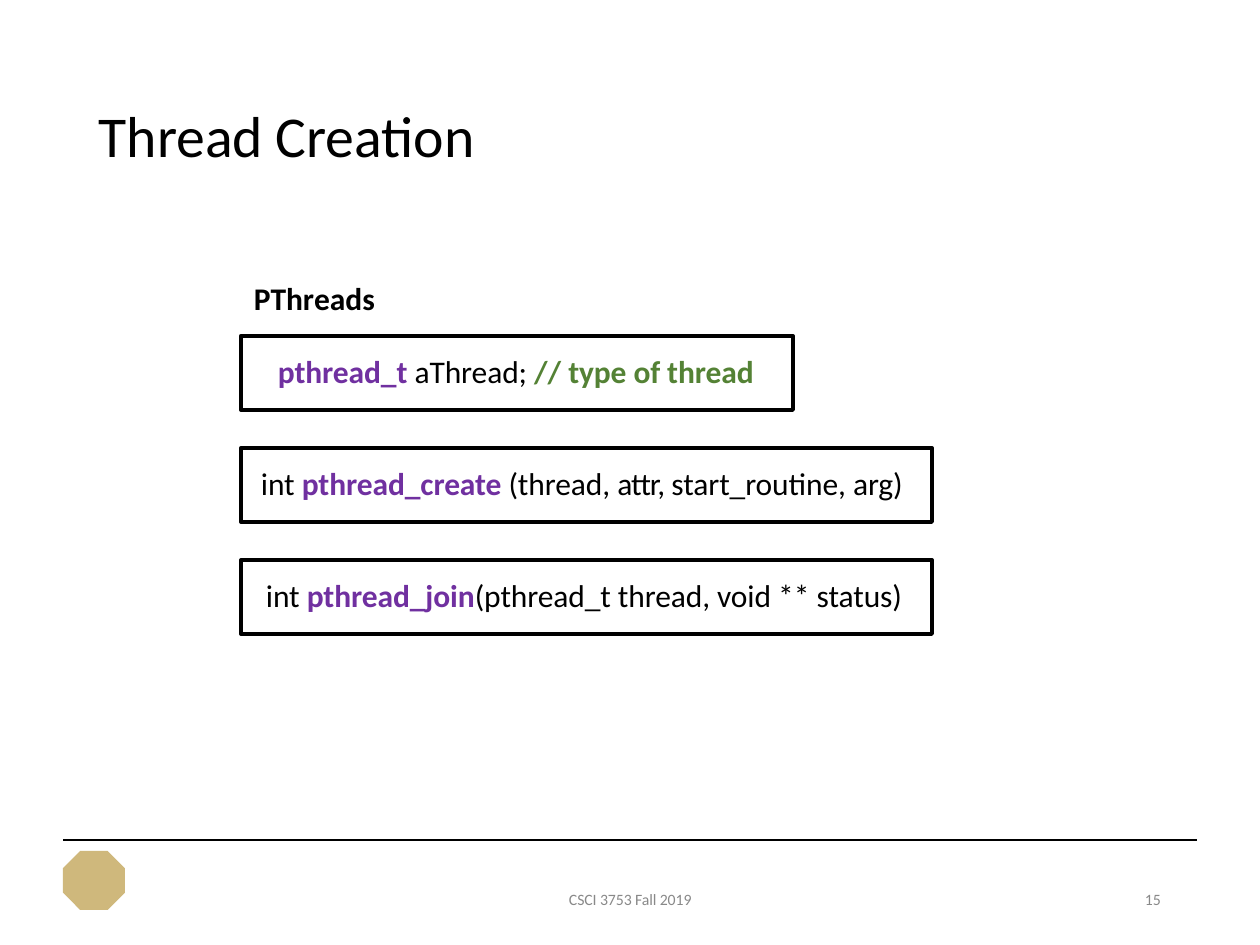
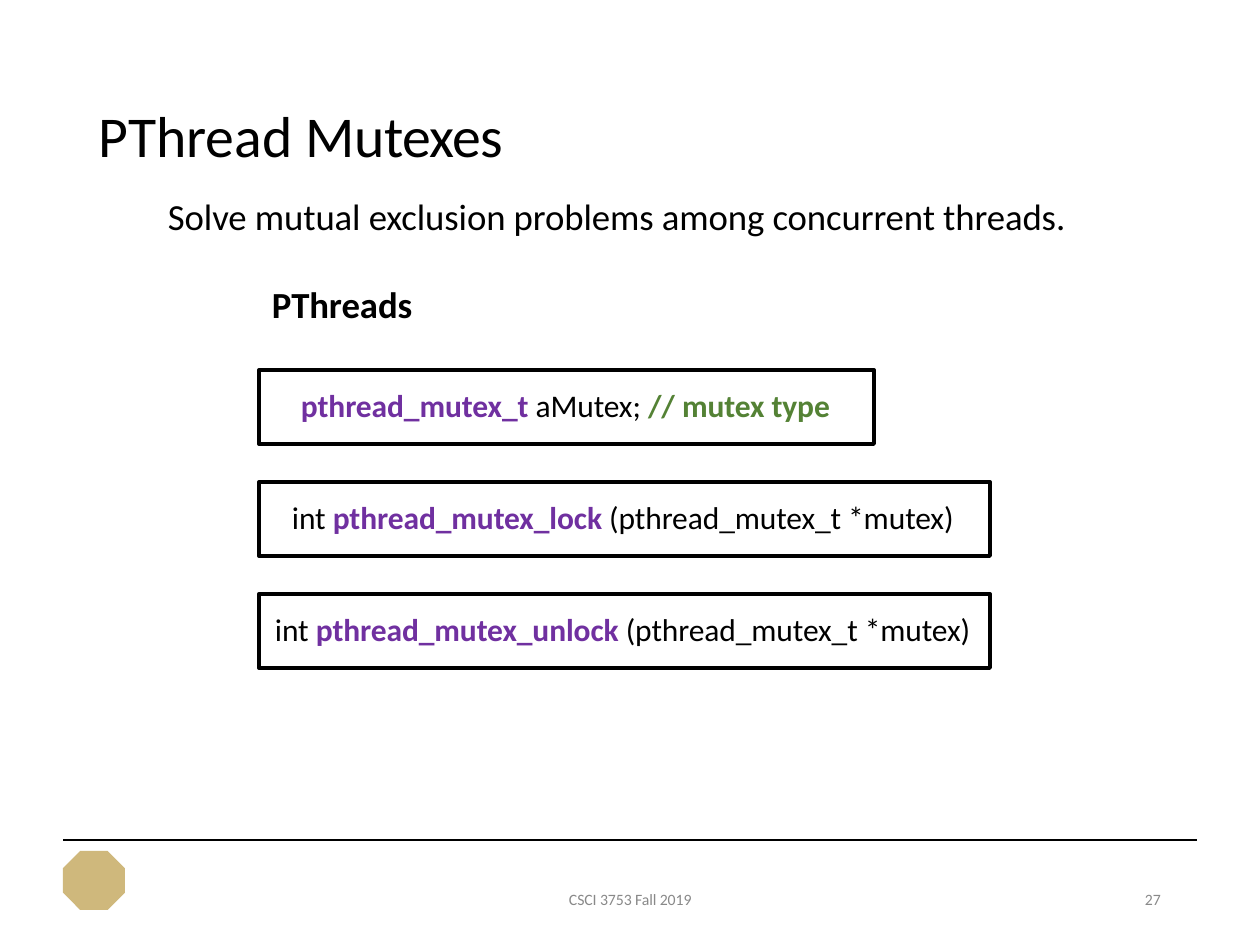
from lxml import etree
from pptx import Presentation
from pptx.dml.color import RGBColor
from pptx.enum.shapes import MSO_CONNECTOR, MSO_SHAPE
from pptx.enum.text import MSO_ANCHOR, PP_ALIGN
from pptx.oxml.ns import qn
from pptx.util import Pt

LINE, RECT, BADGE = MSO_CONNECTOR.STRAIGHT, MSO_SHAPE.RECTANGLE, MSO_SHAPE.OCTAGON
LEFT, TOP = PP_ALIGN.LEFT, MSO_ANCHOR.TOP

FONT = "Calibri"
COLORS = {
    "ink": "000000",
    "gray": "898989",
    "call": "7030A0",
    "note": "548235",
    "gold": "CFB87C",
}
TIGHT = -7  # letter spacing in hundredths of a point
BOX_H, STEP = 74, 112  # height and pitch of the code boxes


def px(n):
    return round(n * 914400 / 126)


def hue(name):
    return RGBColor.from_string(COLORS[name])


# Text
def write(shape, runs, size, indent, top):
    """Each run is (text, color, bold) with an optional letter spacing."""
    frame = shape.text_frame
    frame.word_wrap = True
    frame.vertical_anchor = TOP
    frame.margin_left, frame.margin_top = px(indent), px(top)
    frame.margin_right = frame.margin_bottom = 0
    para = frame.paragraphs[0]
    para.alignment = LEFT
    for text, color, bold, *gap in runs:
        run = para.add_run()
        run.text = text
        run.font.name = FONT
        run.font.size = Pt(size)
        run.font.bold = bold
        run.font.color.rgb = hue(color)
        run.font._element.set("spc", str(gap[0] if gap else TIGHT))


def label(slide, x, y, w, h, runs, size, indent=2):
    box = slide.shapes.add_textbox(px(x), px(y), px(w), px(h))
    write(box, runs, size, indent, 2)


# Code boxes
def codes(slide, x, y, rows):
    """Each row is (width, indent, runs)."""
    for i, (w, indent, runs) in enumerate(rows):
        box = slide.shapes.add_shape(RECT, px(x), px(y + i * STEP), px(w), px(BOX_H))
        box.shadow.inherit = False
        box.fill.background()
        box.line.color.rgb = hue("ink")
        box.line.width = Pt(2.25)
        write(box, runs, 18, indent, 16)


# Shared frame: title, rule, badge, footer
def page(deck, title, number):
    slide = deck.slides.add_slide(deck.slide_layouts[6])
    rule = slide.shapes.add_connector(LINE, px(63), px(840), px(1197), px(840))
    rule.line.color.rgb = hue("ink")
    rule.line.width = Pt(1)
    etree.SubElement(rule._element.spPr, qn("a:effectLst"))

    badge = slide.shapes.add_shape(BADGE, px(63), px(851), px(62), px(59))
    badge.shadow.inherit = False
    badge.fill.solid()
    badge.fill.fore_color.rgb = hue("gold")
    badge.line.fill.background()

    label(slide, 97, 98, 420, 73, title, 33)
    label(slide, 567, 888, 132, 23, [("CSCI 3753 Fall 2019", "gray", False)], 9)
    label(slide, 1139, 888, 28, 23, [(str(number), "gray", False, 0)], 9, 6)
    return slide


def create(deck):
    slide = page(deck, [("Thread Creation", "ink", False)], 15)
    head = [("PTh", "ink", True), ("r", "ink", True, -20),
            ("ead", "ink", True), ("s", "ink", True, 0)]
    label(slide, 252, 277, 132, 42, head, 18)
    codes(slide, 241, 336, [
        (552, 37, [("pthread_t ", "call", True), ("aThread; ", "ink", False),
                   ("// ", "note", True, 0), ("type of thread", "note", True)]),
        (691, 20, [("int ", "ink", False), ("pthread_create ", "call", True),
                   ("(thread, ", "ink", False), ("attr, ", "ink", False, -50),
                   ("start_routine, arg)", "ink", False)]),
        (691, 25, [("int ", "ink", False), ("pthread_join", "call", True),
                   ("(pthread_t thread, void ", "ink", False),
                   ("** ", "ink", False, 0), ("status)", "ink", False)]),
    ])


def mutex(deck):
    title = [("PThread ", "ink", False), ("Mutexes", "ink", False, -30)]
    slide = page(deck, title, 27)
    goal = "Solve mutual exclusion problems among concurrent threads."
    label(slide, 166, 192, 907, 48, [(goal, "ink", False)], 21)
    label(slide, 270, 280, 150, 48, [("PThreads", "ink", True)], 21)
    arg = ("(pthread_mutex_t *mutex)", "ink", False)
    codes(slide, 259, 370, [
        (615, 42, [("pthread_mutex_t ", "call", True), ("aMutex; ", "ink", False),
                   ("// ", "note", True, 0), ("mutex type", "note", True)]),
        (731, 33, [("int ", "ink", False), ("pthread_mutex_lock ", "call", True), arg]),
        (731, 16, [("int ", "ink", False), ("pthread_mutex_unlock ", "call", True), arg]),
    ])


def main():
    deck = Presentation()
    deck.slide_width, deck.slide_height = px(1260), px(945)
    create(deck)
    mutex(deck)
    deck.save("out.pptx")


if __name__ == "__main__":
    main()
